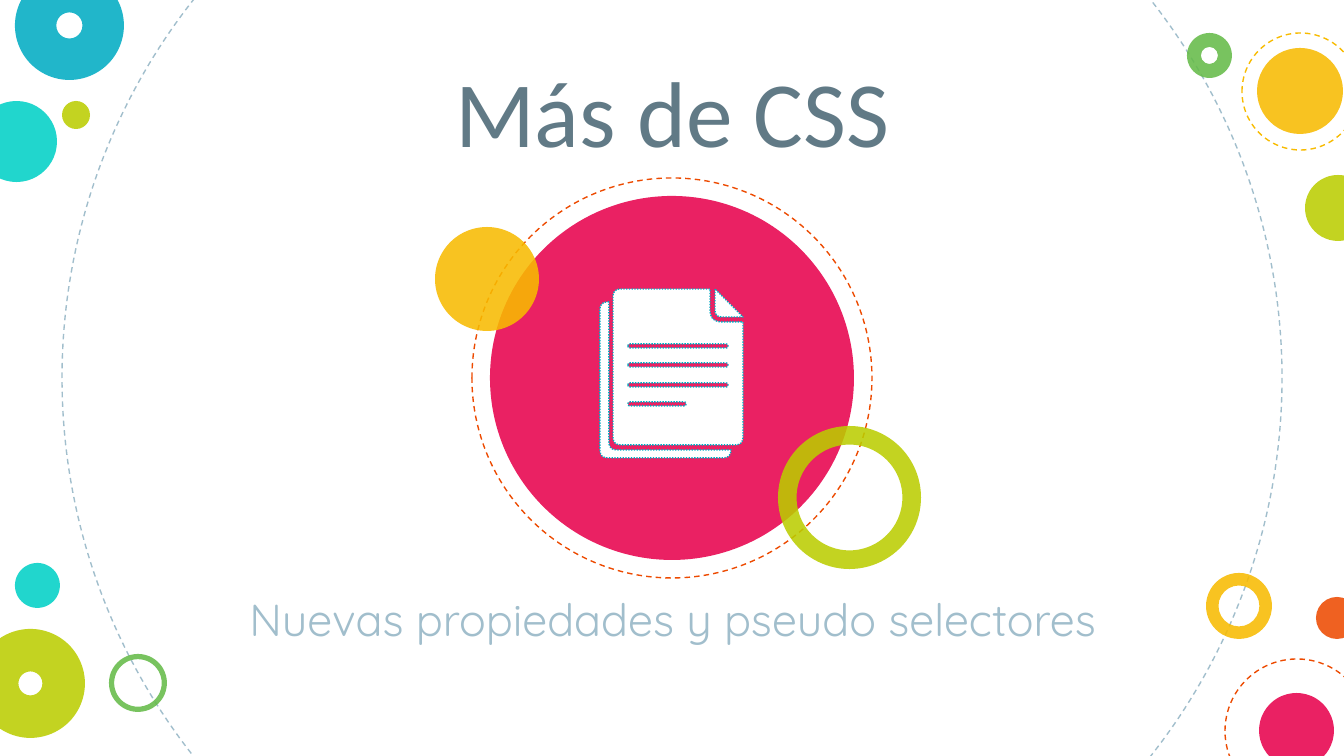
from lxml import etree
from pptx import Presentation
from pptx import util as u
from pptx.dml.color import RGBColor
from pptx.enum import dml, shapes, text
from pptx.oxml.ns import qn

COLOURS = {
    "slate": "617A86", "mist": "A1BECC", "aqua": "00D1C6", "teal": "00ACC3",
    "yellow": "F8BB00", "lime": "BBCD00", "green": "65BB48",
    "orange": "ED4A00", "pink": "E8004C", "white": "FFFFFF",
}
TITLE = "Más de CSS"
SUBTITLE = "Nuevas propiedades y pseudo selectores"

# left, top, diameter, colour, style: "disc", "dash" or the ring's thickness ratio
CIRCLES = [
    (62, -232, 1220, "mist", "dash"),
    (-24, 101, 81, "aqua", "disc"),
    (1206, 573, 66, "yellow", 0.19),
    (15, -29, 109, "teal", 0.38),
    (62, 101, 28, "lime", "disc"),
    (1225, 659, 144, "orange", "dash"),
    (109, 654, 58, "green", 0.09),
    (1316, 597, 42, "orange", "disc"),
    (-24, 629, 109, "lime", 0.39),
    (1259, 693, 75, "pink", "disc"),
    (1187, 33, 45, "green", 0.31),
    (1257, 48, 86, "yellow", "disc"),
    (1305, 175, 66, "lime", "disc"),
    (1242, 33, 117, "yellow", "dash"),
    (15, 563, 45, "aqua", "disc"),
    (490, 196, 364, "pink", "disc"),
    (472, 178, 400, "orange", "dash"),
    (435, 227, 104, "yellow", "disc"),
    (778, 426, 143, "lime", 0.13),
]

# outline corners: x, y, radius
BACK_SHEET = [(609, 302, 0), (600, 302, 8), (600, 458, 8), (731, 458, 8),
              (731, 450, 0), (609, 450, 8)]
FRONT_SHEET = [(710, 289, 0), (613, 289, 8), (613, 445, 8), (743, 445, 8),
               (743, 322, 0), (710, 322, 12)]
FOLD = [(715, 289, 0), (715, 317, 7), (743, 317, 0)]
TEXT_LINE_ENDS = [728, 728, 728, 686]

EMU_PER_PX = 914400 / 134.4


def px(length):
    return u.Emu(round(length * EMU_PER_PX))


def colour(name):
    return RGBColor.from_string(COLOURS[name])


def outline(shape, name, dash):
    shape.line.color.rgb = colour(name)
    shape.line.width = u.Pt(0.75)
    shape.line.dash_style = dash


def add_circle(page, left, top, size, name, style):
    ring = isinstance(style, float)
    preset = shapes.MSO_SHAPE.DONUT if ring else shapes.MSO_SHAPE.OVAL
    circle = page.shapes.add_shape(preset, px(left), px(top), px(size), px(size))
    circle.shadow.inherit = False
    if ring:
        circle.adjustments[0] = style
    if style == "dash":
        circle.fill.background()
        outline(circle, name, dml.MSO_LINE.DASH)
        return
    circle.fill.solid()
    circle.fill.fore_color.rgb = colour(name)
    circle.line.fill.background()
    tint = circle.fill._xPr.find(".//" + qn("a:srgbClr"))
    etree.SubElement(tint, qn("a:alpha"), val="87000")


def toward(start, end, distance):
    dx, dy = end[0] - start[0], end[1] - start[1]
    share = distance / (dx * dx + dy * dy) ** 0.5
    return start[0] + dx * share, start[1] + dy * share


def rounded(corners, steps=6):
    points = []
    for i, (x, y, radius) in enumerate(corners):
        if not radius:
            points.append((x, y))
            continue
        enter = toward((x, y), corners[i - 1], radius)
        leave = toward((x, y), corners[(i + 1) % len(corners)], radius)
        for step in range(steps + 1):
            t = step / steps
            points.append(tuple(
                (1 - t) ** 2 * a + 2 * t * (1 - t) * b + t * t * c
                for a, b, c in zip(enter, (x, y), leave)))
    return points


def add_icon_part(page, *contours):
    builder = None
    for corners in contours:
        points = [(px(x), px(y)) for x, y in rounded(corners)]
        if builder is None:
            builder = page.shapes.build_freeform(*points[0])
        else:
            builder.move_to(*points[0])
        builder.add_line_segments(points[1:], close=True)
    part = builder.convert_to_shape()
    part.shadow.inherit = False
    part.fill.solid()
    part.fill.fore_color.rgb = colour("white")
    outline(part, "teal", dml.MSO_LINE.ROUND_DOT)


def write(box, content, *, at, font, size, name, anchor, before=0):
    box.left, box.top, box.width, box.height = map(px, at)
    frame = box.text_frame
    frame.word_wrap = True
    frame.auto_size = text.MSO_AUTO_SIZE.NONE
    frame.vertical_anchor = anchor
    frame.margin_left = frame.margin_right = px(13)
    frame.margin_top = frame.margin_bottom = px(13)
    para = frame.paragraphs[0]
    para.alignment = text.PP_ALIGN.CENTER
    para.line_spacing = 1.0
    para.space_before = u.Pt(before)
    span = para.add_run()
    span.text = content
    span.font.name = font
    span.font.size = u.Pt(size)
    span.font.color.rgb = colour(name)


def main():
    deck = Presentation()
    deck.slide_width, deck.slide_height = px(1344), px(756)
    page = deck.slides.add_slide(deck.slide_layouts.get_by_name("Title Only"))

    for circle in CIRCLES:
        add_circle(page, *circle)

    text_lines = []
    for i, right in enumerate(TEXT_LINE_ENDS):
        top = 344 + round(19.4 * i)
        text_lines.append([(628, top, 2), (right, top, 2),
                           (right, top + 4, 2), (628, top + 4, 2)])
    add_icon_part(page, BACK_SHEET)
    add_icon_part(page, FRONT_SHEET, *text_lines)
    add_icon_part(page, FOLD)

    write(page.shapes.title, TITLE, at=(192, 8, 961, 171), font="Calibri",
          size=50, name="slate", anchor=text.MSO_ANCHOR.BOTTOM)
    write(page.shapes.add_textbox(0, 0, 0, 0), SUBTITLE, at=(192, 579, 961, 116),
          font="Quicksand", size=24, name="mist", anchor=text.MSO_ANCHOR.TOP,
          before=6)
    deck.save("out.pptx")


if __name__ == "__main__":
    main()
